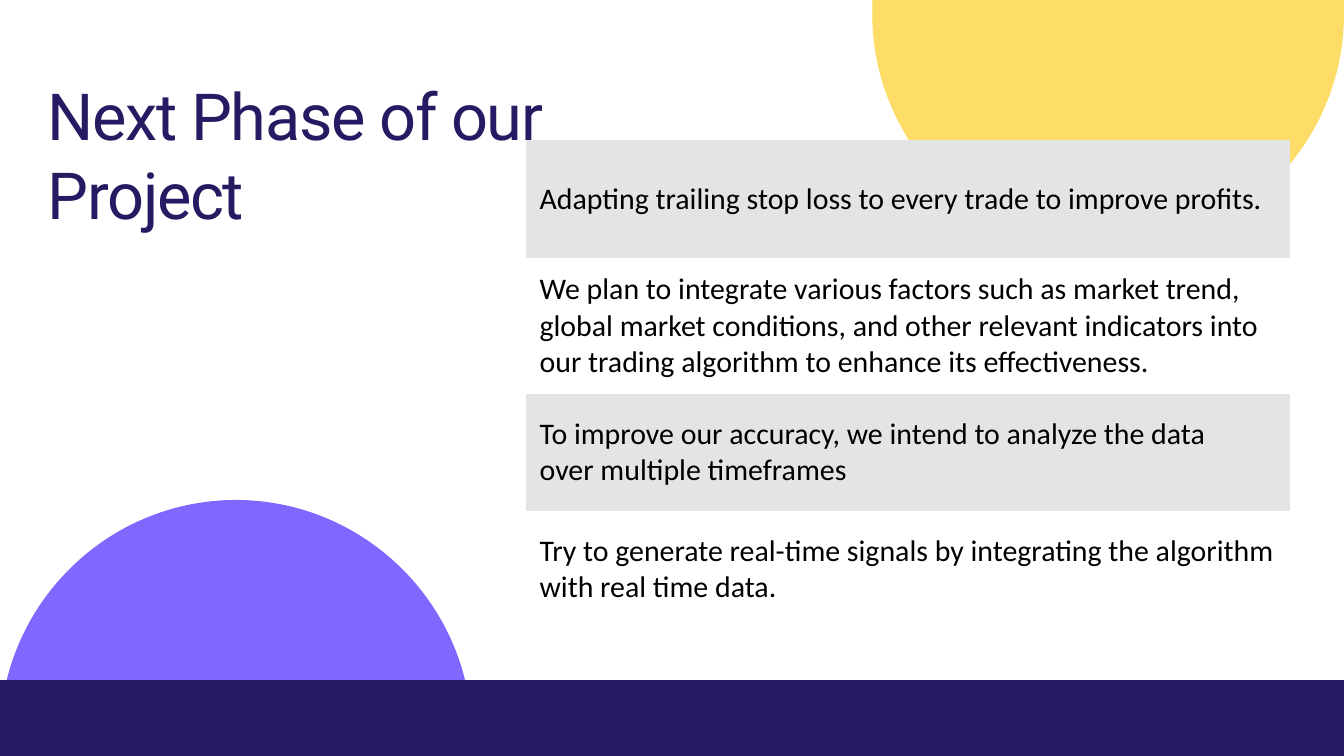
from lxml.etree import SubElement
from pptx import Presentation
from pptx.dml.color import RGBColor
from pptx.enum.text import MSO_ANCHOR, MSO_AUTO_SIZE, PP_ALIGN
from pptx.oxml.ns import qn
from pptx.util import Inches, Pt

NAVY = RGBColor(0x27, 0x1A, 0x62)
VIOLET = RGBColor(0x81, 0x67, 0xFF)
YELLOW = RGBColor(0xFD, 0xDC, 0x68)
GREY = RGBColor(0xE3, 0xE4, 0xE6)
WHITE = RGBColor(0xFF, 0xFF, 0xFF)
BLACK = RGBColor(0, 0, 0)

SLIDE_WIDTH, SLIDE_HEIGHT = 20, 11.25
DISC_RADIUS, DISC_RIM = 3.51, 0.21
CURVE = 0.55 * DISC_RADIUS  # handle length of a quarter circle
NO_BREAK = chr(160)

PLANS = [
    (1.76, f"Adapting trailing stop loss to every trade to{NO_BREAK}improve profits."),
    (2.02, "We plan to integrate various factors such as market trend, global market "
           "conditions, and other relevant indicators into our trading algorithm to "
           "enhance its effectiveness."),
    (1.74, "To improve our accuracy, we intend to analyze the data "
           f"over{NO_BREAK}multiple timeframes"),
    (1.74, "Try to generate real-time signals by integrating the algorithm "
           "with real time data."),
]


class SlideBuilder:
    title_font, body_font = "Roboto", "Calibri"
    title_size, body_size = Pt(69.5), Pt(32)
    side_margin, end_margin = Inches(0.21), Inches(0.19)

    def __init__(self, slide):
        self.slide = slide

    def add_run(self, paragraph, text, font_name, size, color):
        run = paragraph.add_run()
        run.text = text
        run.font.name = font_name
        run.font.size = size
        run.font.color.rgb = color
        return run

    def set_title(self, text, left, top, width, height):
        title = self.slide.shapes.title
        title.left, title.top = Inches(left), Inches(top)
        title.width, title.height = Inches(width), Inches(height)
        frame = title.text_frame
        frame.word_wrap = True
        frame.auto_size = MSO_AUTO_SIZE.NONE
        frame.vertical_anchor = MSO_ANCHOR.TOP
        frame.margin_left = frame.margin_top = 0
        frame.margin_right = frame.margin_bottom = 0
        paragraph = frame.paragraphs[0]
        paragraph.alignment = PP_ALIGN.LEFT
        paragraph.line_spacing = Pt(84)
        run = self.add_run(paragraph, text, self.title_font, self.title_size, NAVY)
        run.font._element.set("spc", "-140")

    def add_outline(self, points, color):
        builder = self.slide.shapes.build_freeform(
            Inches(points[0][0]), Inches(points[0][1]))
        builder.add_line_segments([(Inches(x), Inches(y)) for x, y in points[1:]])
        shape = builder.convert_to_shape()
        shape.shadow.inherit = False
        shape.fill.solid()
        shape.fill.fore_color.rgb = color
        shape.line.fill.background()
        return shape

    def add_half_disc(self, center_x, edge_y, direction, color):
        """Half disc on a slide edge; direction is 1 for down, -1 for up."""
        left, right = center_x - DISC_RADIUS, center_x + DISC_RADIUS
        rim = edge_y + direction * DISC_RIM
        apex = rim + direction * DISC_RADIUS
        handle = direction * CURVE
        shape = self.add_outline([
            (left, rim),
            (left, rim + handle), (center_x - CURVE, apex), (center_x, apex),
            (center_x + CURVE, apex), (right, rim + handle), (right, rim),
            (right, edge_y), (left, edge_y)], color)
        # Each three points after the start form one quarter circle
        lines = list(shape._element.iter(qn("a:lnTo")))
        for start in (0, 3):
            quarter = lines[start:start + 3]
            quarter[0].tag = qn("a:cubicBezTo")
            for line in quarter[1:]:
                quarter[0].append(line[0])
                line.getparent().remove(line)

    def add_plan_table(self, plans, left, top, width):
        height = sum(row_height for row_height, _ in plans)
        table = self.slide.shapes.add_table(
            len(plans), 1, Inches(left), Inches(top), Inches(width), Inches(height)).table
        table.first_row = False
        for index, (row_height, text) in enumerate(plans):
            table.rows[index].height = Inches(row_height)
            self.format_cell(table.cell(index, 0), text, WHITE if index % 2 else GREY)

    def format_cell(self, cell, text, color):
        cell.margin_left = cell.margin_right = self.side_margin
        cell.margin_top = cell.margin_bottom = self.end_margin
        cell.vertical_anchor = MSO_ANCHOR.MIDDLE
        properties = cell._tc.get_or_add_tcPr()
        for side in ("a:lnL", "a:lnR", "a:lnT", "a:lnB"):
            border = SubElement(properties, qn(side), w="0")
            SubElement(border, qn("a:noFill"))
        cell.fill.solid()
        cell.fill.fore_color.rgb = color
        self.add_run(cell.text_frame.paragraphs[0], text,
                     self.body_font, self.body_size, BLACK)


def main():
    presentation = Presentation()
    presentation.slide_width = Inches(SLIDE_WIDTH)
    presentation.slide_height = Inches(SLIDE_HEIGHT)
    slide = presentation.slides.add_slide(presentation.slide_layouts[5])
    builder = SlideBuilder(slide)

    # Violet half disc behind the footer bar
    builder.add_half_disc(DISC_RADIUS, 11.16, -1, VIOLET)
    bar_top = 10.12
    builder.add_outline([(0, bar_top), (SLIDE_WIDTH, bar_top),
                         (SLIDE_WIDTH, SLIDE_HEIGHT), (0, SLIDE_HEIGHT)], NAVY)

    # Title
    builder.set_title("Next Phase of our Project", 0.71, 1.12, 8.16, 2.36)

    # Yellow half disc behind the plan table
    builder.add_half_disc(SLIDE_WIDTH - DISC_RADIUS, 0, 1, YELLOW)
    builder.add_plan_table(PLANS, 7.82, 2.08, 11.38)

    presentation.save("out.pptx")


if __name__ == "__main__":
    main()
